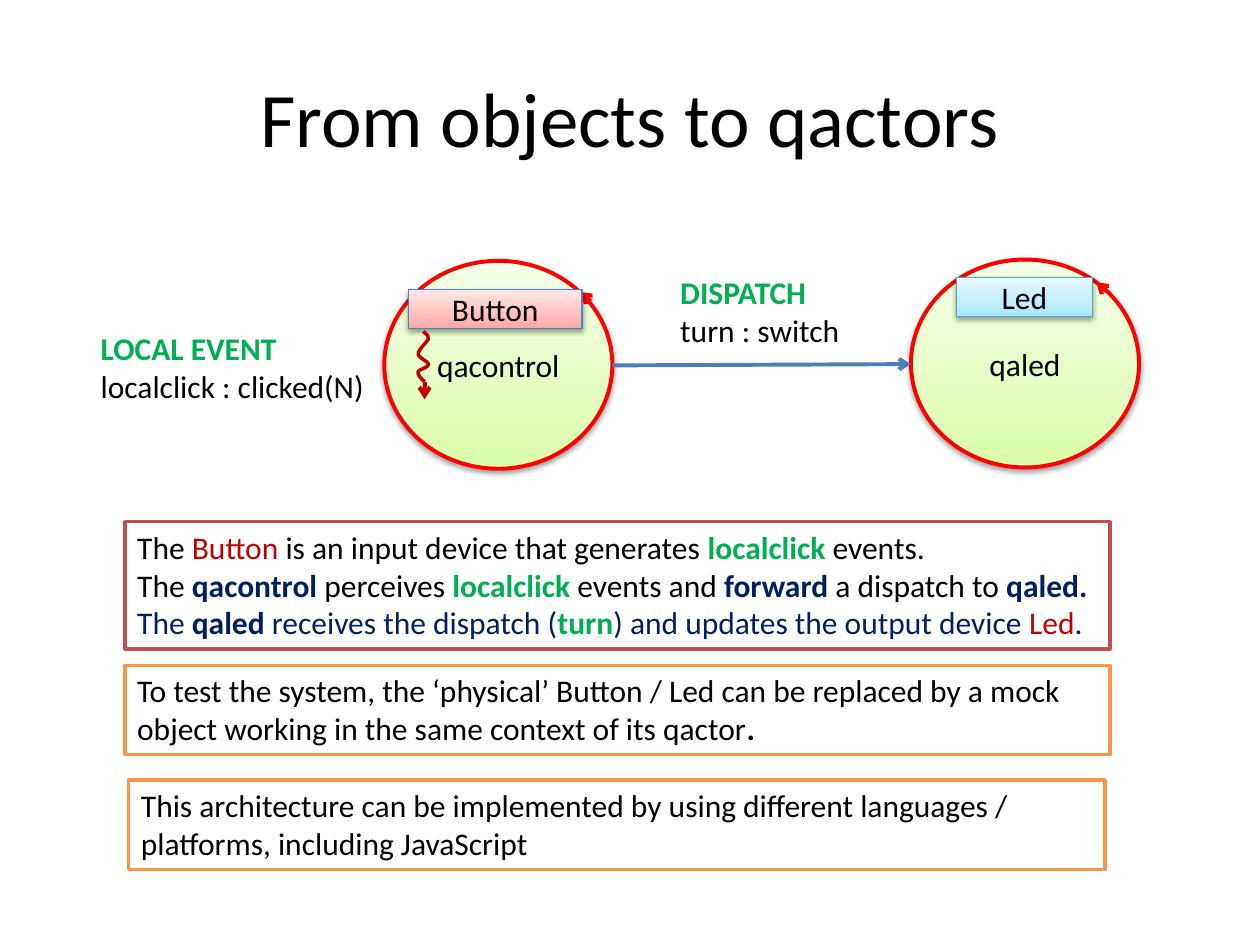
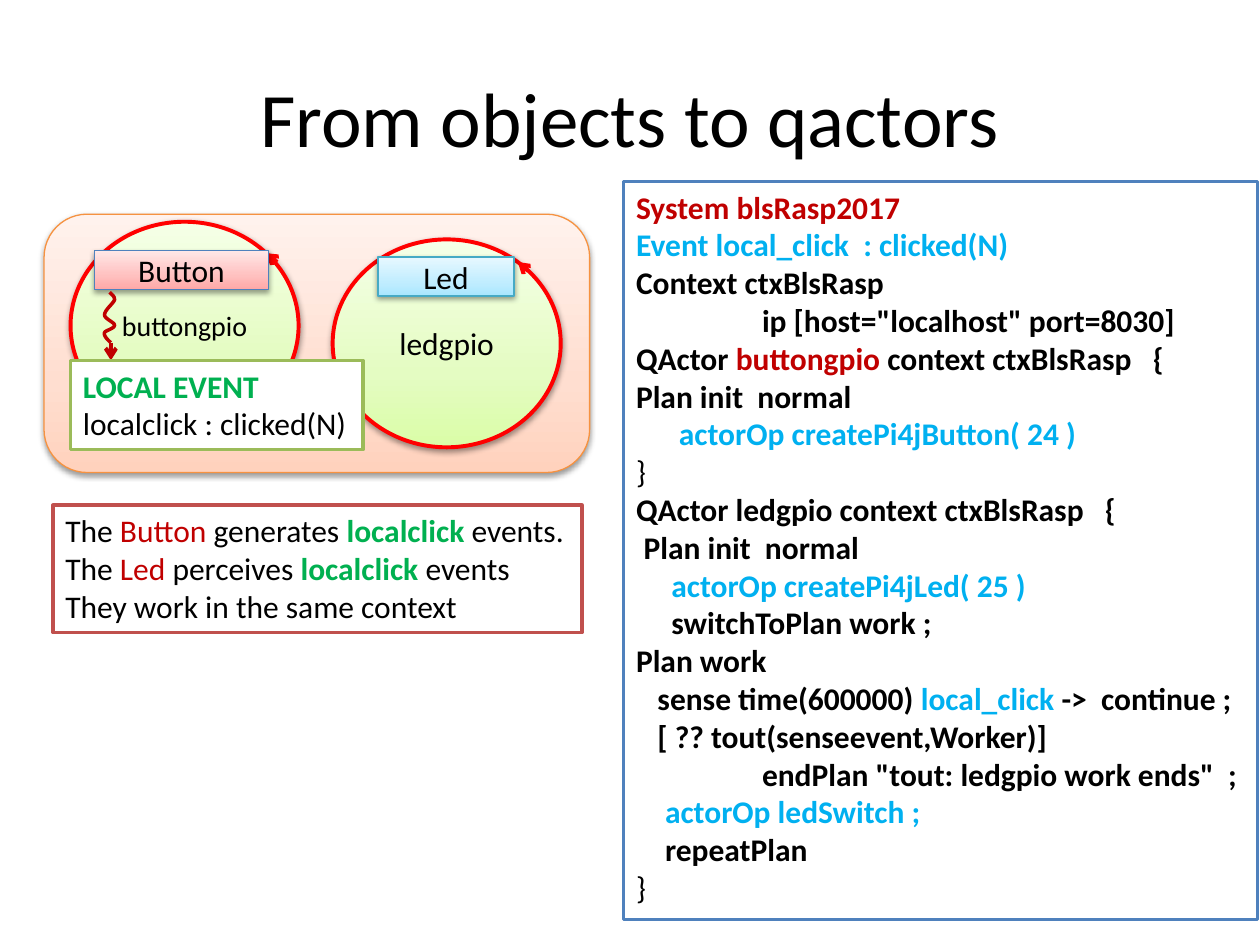
import pptx
import pptx.util
import pptx.oxml
import pptx.oxml.ns
import pptx.dml.color
import pptx.enum.shapes
import pptx.enum.text

Inches = pptx.util.Inches
Pt = pptx.util.Pt
RGB = pptx.dml.color.RGBColor
SHAPE = pptx.enum.shapes.MSO_SHAPE
ANCHOR = pptx.enum.text.MSO_ANCHOR
ALIGN = pptx.enum.text.PP_ALIGN

FONT = "Calibri"
BLACK = RGB(0x00, 0x00, 0x00)
WHITE = RGB(0xFF, 0xFF, 0xFF)
RED = RGB(0xFF, 0x00, 0x00)
DARK_RED = RGB(0xC0, 0x00, 0x00)
GREEN = RGB(0x00, 0xB0, 0x50)
NAVY = RGB(0x00, 0x20, 0x60)
SKY = RGB(0x00, 0xB0, 0xF0)
BLUE = RGB(0x4F, 0x81, 0xBD)
ARROW_BLUE = RGB(0x4B, 0x7E, 0xBC)
TEAL = RGB(0x46, 0xAA, 0xC5)
BRICK = RGB(0xC0, 0x50, 0x4D)
ORANGE = RGB(0xF7, 0x96, 0x46)
CONTEXT_LINE = RGB(0xF6, 0x92, 0x40)
OLIVE = RGB(0x9B, 0xBB, 0x59)

LIME_FADE = ("DAFDA7", "E4FCC2", "F5FFE7")
ROSE_FADE = ("FFA6A5", "FFC0BF", "FFE7E7")
AQUA_FADE = ("A7E6FF", "C1EDFF", "E7F8FF")
PEACH_FADE = ("FFD2BD", "FFDED0", "FFF2ED")

PLAIN, STRONG = (BLACK, False), (BLACK, True)
DEVICE, KEYWORD = (DARK_RED, False), (DARK_RED, True)
EVENT, ACTION = (GREEN, True), (SKY, True)
NOTE, ACTOR = (NAVY, False), (NAVY, True)

LOCAL_EVENT = [[("LOCAL EVENT", EVENT)], [("localclick : clicked(N)", PLAIN)]]
DISPATCH = [[("DISPATCH", EVENT)], [("turn : switch", PLAIN)]]
ROLES = [
    [("The ", PLAIN), ("Button ", DEVICE), ("is an input device that generates ", PLAIN),
     ("localclick ", EVENT), ("events.", PLAIN)],
    [("The ", PLAIN), ("qacontrol ", ACTOR), ("perceives ", PLAIN), ("localclick ", EVENT),
     ("events and ", PLAIN), ("forward ", ACTOR), ("a dispatch to ", PLAIN), ("qaled.", ACTOR)],
    [("The ", NOTE), ("qaled ", ACTOR), ("receives the dispatch (", NOTE), ("turn", EVENT),
     (") and updates the output device ", NOTE), ("Led", DEVICE), (".", NOTE)],
]
TESTING = [[("To test the system, the ‘physical’ Button / Led can be replaced by a mock "
             "object working in the same context of its qactor", PLAIN), (".", STRONG)]]
LANGUAGES = [[("This architecture can be implemented by using different languages / "
               "platforms, including JavaScript", PLAIN)]]
SHARED_CONTEXT = [
    [("The ", PLAIN), ("Button ", DEVICE), ("generates ", PLAIN),
     ("localclick ", EVENT), ("events.", PLAIN)],
    [("The ", PLAIN), ("Led ", DEVICE), ("perceives ", PLAIN),
     ("localclick ", EVENT), ("events", PLAIN)],
    [("They work in the same context", PLAIN)],
]
CODE = [
    (0, [("System blsRasp2017", KEYWORD)]),
    (0, [("Event local_click  : clicked(N)", ACTION)]),
    (0, [("Context ctxBlsRasp", STRONG)]),
    (1, [('ip [host="localhost" port=8030]', STRONG)]),
    (0, [("QActor ", STRONG), ("buttongpio ", KEYWORD), ("context ctxBlsRasp   {", STRONG)]),
    (0, [("Plan init  normal", STRONG)]),
    (0.34, [("actorOp createPi4jButton( 24 )", ACTION)]),
    (0, [("}", PLAIN)]),
    (0, [("QActor ledgpio context ctxBlsRasp   {", STRONG)]),
    (0.06, [("Plan init  normal", STRONG)]),
    (0.28, [("actorOp createPi4jLed( 25 )", ACTION)]),
    (0.28, [("switchToPlan work ;", STRONG)]),
    (0, [("Plan work", STRONG)]),
    (0.17, [("sense time(600000) ", STRONG), ("local_click", ACTION),
            (" ->  continue ;", STRONG)]),
    (0.17, [("[ ?? tout(senseevent,Worker)]", STRONG)]),
    (1, [('endPlan "tout: ledgpio work ends"  ;', STRONG)]),
    (0.23, [("actorOp ledSwitch ;", ACTION)]),
    (0.23, [("repeatPlan", STRONG)]),
    (0, [("}", PLAIN)]),
]

WAVE_START = (0.04, 0)
WAVE = [
    ((0.06, 0.02), (0.08, 0.03), (0.08, 0.06)),
    ((0.07, 0.09), (0, 0.14), (0, 0.18)),
    ((0, 0.21), (0.08, 0.24), (0.08, 0.26)),
    ((0.08, 0.29), (0.01, 0.3), (0, 0.32)),
    ((-0.01, 0.35), (0.04, 0.39), (0.05, 0.4)),
]


def xml(tag, body, attrs=""):
    """Parse one DrawingML element."""
    ns = pptx.oxml.ns.nsdecls("a")
    return pptx.oxml.parse_xml(f"<a:{tag} {ns} {attrs}>{body}</a:{tag}>")


def write(tf, lines, size=18, align=ALIGN.LEFT, indents=None):
    """Fill a text frame with lines of styled runs."""
    tf.word_wrap = True
    tf.margin_right = Inches(0.1 if align == ALIGN.CENTER else 0.05)
    for i, line in enumerate(lines):
        p = tf.paragraphs[0] if i == 0 else tf.add_paragraph()
        p.alignment = align
        if indents and indents[i]:
            p._p.get_or_add_pPr().set("marL", str(Inches(indents[i])))
        for text, (color, bold) in line:
            r = p.add_run()
            r.text = text
            r.font.name, r.font.size = FONT, Pt(size)
            r.font.color.rgb, r.font.bold = color, bold


def shape(s, kind, x, y, w, h, line, width):
    """Add an outlined white shape without a shadow."""
    sp = s.shapes.add_shape(kind, Inches(x), Inches(y), Inches(w), Inches(h))
    sp.shadow.inherit = False
    sp.fill.solid()
    sp.fill.fore_color.rgb = WHITE
    sp.line.color.rgb, sp.line.width = line, Pt(width)
    return sp


def faded(s, kind, x, y, w, h, fade, line, width, label="", size=18):
    """Add a shape with a vertical fade, a soft shadow and a centred label."""
    sp = shape(s, kind, x, y, w, h, line, width)
    stops = "".join(f'<a:gs pos="{pos}"><a:srgbClr val="{c}"/></a:gs>'
                    for pos, c in zip((0, 35000, 100000), fade))
    grad = xml("gradFill", f'<a:gsLst>{stops}</a:gsLst><a:lin ang="16200000" scaled="0"/>',
               'rotWithShape="1"')
    props = sp._element.spPr
    props.replace(props.find(pptx.oxml.ns.qn("a:solidFill")), grad)
    props.find(pptx.oxml.ns.qn("a:effectLst")).append(xml(
        "outerShdw", '<a:srgbClr val="000000"><a:alpha val="38000"/></a:srgbClr>',
        'blurRad="40000" dist="20000" dir="5400000" rotWithShape="0"'))
    if label:
        sp.text_frame.vertical_anchor = ANCHOR.MIDDLE
        write(sp.text_frame, [[(label, PLAIN)]], size, ALIGN.CENTER)
    return sp


def arrow(s, x1, y1, x2, y2, color):
    """Add a straight line with an open arrowhead at its end."""
    c = s.shapes.add_connector(pptx.enum.shapes.MSO_CONNECTOR.STRAIGHT,
                               Inches(x1), Inches(y1), Inches(x2), Inches(y2))
    c.line.color.rgb, c.line.width = color, Pt(2.25)
    c.line._get_or_add_ln().append(xml("tailEnd", "", 'type="arrow"'))
    c._element.spPr.append(xml("effectLst", ""))


def wavy_arrow(s, x, y):
    """Draw a wavy thread that ends in a downward arrow."""
    points, start = [], WAVE_START
    for c1, c2, end in WAVE:
        for t in (k / 8 for k in range(1, 9)):
            u = 1 - t
            points.append(tuple(
                Inches(o + u**3 * a + 3 * u * u * t * b + 3 * u * t * t * c + t**3 * d)
                for o, a, b, c, d in zip((x, y), start, c1, c2, end)))
        start = end
    fb = s.shapes.build_freeform(Inches(x + WAVE_START[0]), Inches(y))
    fb.add_line_segments(points, close=False)
    sp = fb.convert_to_shape()
    sp.shadow.inherit = False
    sp.fill.background()
    sp.line.color.rgb, sp.line.width = DARK_RED, Pt(2)
    arrow(s, x + 0.05, y + 0.4, x + 0.05, y + 0.54, DARK_RED)


def actor(s, x, y, name, size=18):
    """Draw the circle of an actor."""
    faded(s, SHAPE.OVAL, x, y, 1.81, 1.65, LIME_FADE, RED, 2.25, name, size)


def button_actor(s, x, y, name, size=18):
    """Draw an actor that owns the button and its event thread."""
    actor(s, x, y, name, size)
    arrow(s, x + 1.64, y + 0.32, x + 1.55, y + 0.25, RED)
    faded(s, SHAPE.RECTANGLE, x + 0.19, y + 0.23, 1.38, 0.31, ROSE_FADE, BLUE, 0.75, "Button")
    wavy_arrow(s, x + 0.27, y + 0.56)


def led_actor(s, x, y, name):
    """Draw an actor that owns the led."""
    actor(s, x, y, name)
    arrow(s, x + 1.54, y + 0.24, x + 1.47, y + 0.18, RED)
    faded(s, SHAPE.RECTANGLE, x + 0.36, y + 0.14, 1.08, 0.31, AQUA_FADE, TEAL, 0.75, "Led")


def label(s, x, y, w, h, lines):
    """Place free text."""
    write(s.shapes.add_textbox(Inches(x), Inches(y), Inches(w), Inches(h)).text_frame, lines)


def note(s, x, y, w, h, lines, line, indents=None):
    """Place text in a white framed box."""
    sp = shape(s, SHAPE.RECTANGLE, x, y, w, h, line, 2)
    sp.text_frame.vertical_anchor = ANCHOR.TOP
    write(sp.text_frame, lines, indents=indents)


def new_slide(prs):
    """Add a blank slide with the shared title."""
    s = prs.slides.add_slide(prs.slide_layouts[6])
    tf = s.shapes.add_textbox(Inches(0.5), Inches(0.3), Inches(9), Inches(1.25)).text_frame
    tf.vertical_anchor = ANCHOR.MIDDLE
    write(tf, [[("From objects to qactors", PLAIN)]], 44, ALIGN.CENTER)
    return s


def dispatch_slide(prs):
    """Build the slide where one actor sends a dispatch to another."""
    s = new_slide(prs)
    led_actor(s, 7.23, 2.06, "qaled")
    button_actor(s, 3.05, 2.07, "qacontrol")
    arrow(s, 4.86, 2.9, 7.23, 2.89, ARROW_BLUE)
    label(s, 0.7, 2.56, 2.32, 0.71, LOCAL_EVENT)
    label(s, 5.3, 2.12, 1.48, 0.71, DISPATCH)
    note(s, 0.99, 4.14, 7.82, 1.01, ROLES, BRICK)
    note(s, 0.99, 5.28, 7.82, 0.71, TESTING, ORANGE)
    note(s, 1.02, 6.19, 7.75, 0.71, LANGUAGES, ORANGE)


def context_diagram(s, x, y):
    """Draw both actors inside one shared context."""
    faded(s, SHAPE.ROUNDED_RECTANGLE, x, y, 4.33, 2.05, PEACH_FADE, CONTEXT_LINE, 0.75)
    button_actor(s, x + 0.21, y + 0.06, "buttongpio", 16)
    led_actor(s, x + 2.29, y + 0.2, "ledgpio")
    note(s, x + 0.21, y + 1.16, 2.32, 0.71, LOCAL_EVENT, OLIVE)


def code_slide(prs):
    """Build the slide with the shared context and its code."""
    s = new_slide(prs)
    note(s, 0.42, 4.01, 4.2, 1.01, SHARED_CONTEXT, BRICK)
    context_diagram(s, 0.35, 1.7)
    indents, lines = zip(*CODE)
    note(s, 4.95, 1.44, 5.03, 5.86, lines, BLUE, indents)


prs = pptx.Presentation()
prs.slide_width, prs.slide_height = Inches(10), Inches(7.5)
dispatch_slide(prs)
code_slide(prs)
prs.save("out.pptx")
